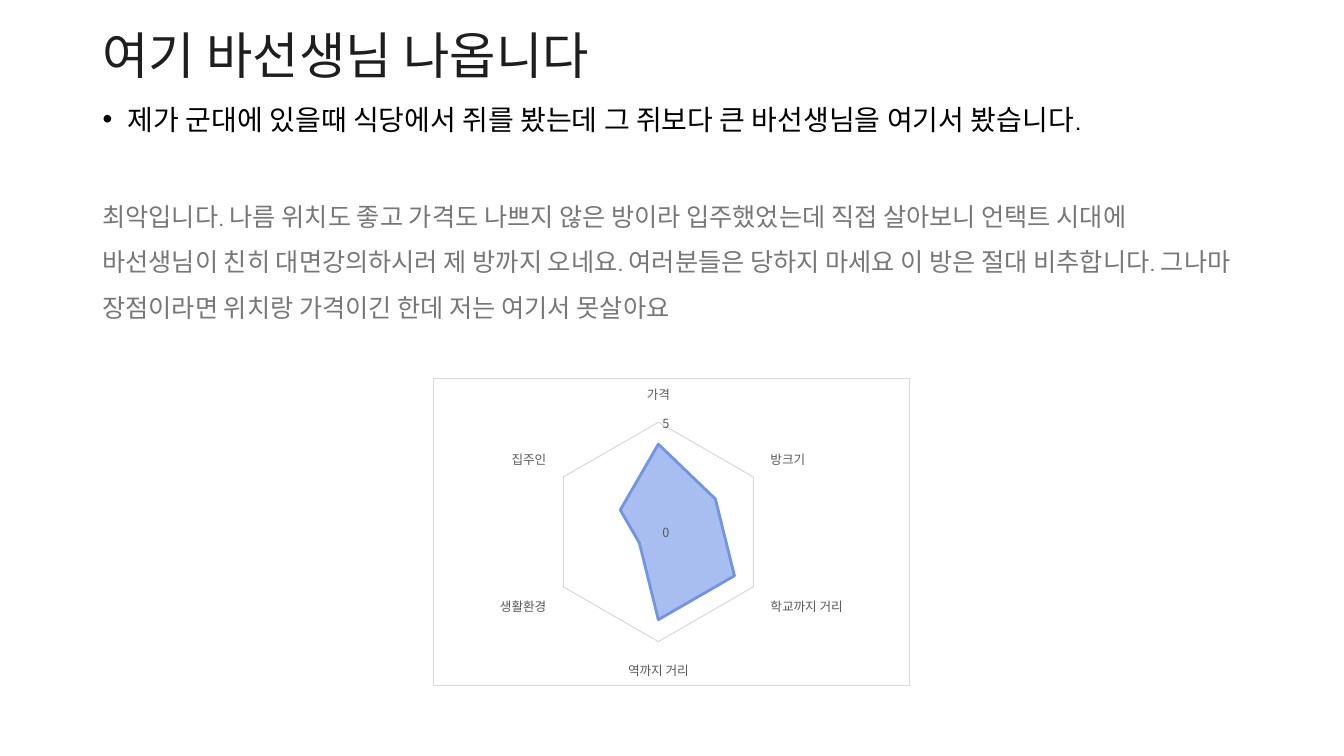
from lxml import etree
from pptx import Presentation
from pptx.chart.data import CategoryChartData
from pptx.dml.color import RGBColor
from pptx.enum.chart import XL_CHART_TYPE, XL_TICK_MARK
from pptx.enum.text import MSO_ANCHOR, MSO_AUTO_SIZE, PP_ALIGN
from pptx.oxml import parse_xml
from pptx.oxml.ns import nsdecls, qn
from pptx.util import Cm, Pt

RADAR_FILLED = XL_CHART_TYPE.RADAR_FILLED
NO_TICK = XL_TICK_MARK.NONE
TOP, MIDDLE = MSO_ANCHOR.TOP, MSO_ANCHOR.MIDDLE
NO_AUTOFIT = MSO_AUTO_SIZE.NONE
LEFT = PP_ALIGN.LEFT

TEXT_FONT = "Manrope"
CHART_FONT = "Noto Sans CJK KR"
BLACK = RGBColor(0x00, 0x00, 0x00)
TITLE_INK = RGBColor(0x1E, 0x1E, 0x1E)
REVIEW_GRAY = RGBColor(0x77, 0x77, 0x77)
LABEL_GRAY = RGBColor(0x59, 0x59, 0x59)
LINE_GRAY = RGBColor(0xD9, 0xD9, 0xD9)
RADAR_BLUE = RGBColor(0x70, 0x94, 0xE6)

TEXT_LEFT, TEXT_WIDTH = Cm(2.33), Cm(29.21)


def style_font(font, name, size, color):
    font.name = name
    font.size = Pt(size)
    font.color.rgb = color


def place_text(shape, top, height, text, size, color, spacing, before, anchor):
    shape.left, shape.top = TEXT_LEFT, top
    shape.width, shape.height = TEXT_WIDTH, height
    frame = shape.text_frame
    frame.word_wrap = True
    frame.auto_size = NO_AUTOFIT
    frame.vertical_anchor = anchor
    paragraph = frame.paragraphs[0]
    paragraph.alignment = LEFT
    paragraph.line_spacing = spacing
    paragraph.space_before = Pt(before)
    run = paragraph.add_run()
    run.text = text
    style_font(run.font, TEXT_FONT, size, color)
    return paragraph


presentation = Presentation()
presentation.slide_width, presentation.slide_height = Cm(33.87), Cm(19.05)
slide = presentation.slides.add_slide(presentation.slide_layouts[1])

# Title
place_text(slide.shapes.title, Cm(-0.38), Cm(3.68), "여기 바선생님 나옵니다",
           36, TITLE_INK, 0.9, 0, MIDDLE)

# Bulleted summary
summary = place_text(
    slide.placeholders[1], Cm(2.54), Cm(3.68),
    "제가 군대에 있을때 식당에서 쥐를 봤는데 그 쥐보다 큰 바선생님을 여기서 봤습니다.",
    20, BLACK, 0.9, 10, TOP)
summary_properties = summary._p.get_or_add_pPr()
summary_properties.set("marL", str(Cm(0.64)))
summary_properties.set("indent", str(-Cm(0.64)))
etree.SubElement(summary_properties, qn("a:buFont"), typeface="Arial")
etree.SubElement(summary_properties, qn("a:buChar"), char="•")

# Review text
review_box = slide.shapes.add_textbox(TEXT_LEFT, Cm(4.57), TEXT_WIDTH, Cm(9.09))
place_text(
    review_box, Cm(4.57), Cm(9.09),
    "최악입니다. 나름 위치도 좋고 가격도 나쁘지 않은 방이라 입주했었는데 직접 살아보니 "
    "언택트 시대에 바선생님이 친히 대면강의하시러 제 방까지 오네요. 여러분들은 당하지 "
    "마세요 이 방은 절대 비추합니다. 그나마 장점이라면 위치랑 가격이긴 한데 저는 "
    "여기서 못살아요",
    18, REVIEW_GRAY, 1.5, 10, TOP)

# Rating radar chart
ratings = CategoryChartData()
ratings.categories = ["가격", "방크기", "학교까지 거리", "역까지 거리", "생활환경", "집주인"]
ratings.add_series("Series 1", (4, 3, 4, 4, 1, 2))
chart = slide.shapes.add_chart(
    RADAR_FILLED, Cm(10.9), Cm(9.53), Cm(12.04), Cm(7.75), ratings).chart
chart.has_title = False
chart.has_legend = False
style_font(chart.font, CHART_FONT, 10, BLACK)
plot = chart.plots[0]
plot.vary_by_categories = False

# Half-transparent rating area
series = plot.series[0]
series.format.fill.solid()
series.format.fill.fore_color.rgb = RADAR_BLUE
series.format.line.color.rgb = RADAR_BLUE
series.format.line.width = Pt(2)
area_color = series.format.fill._xPr.find(qn("a:solidFill"))[0]
etree.SubElement(area_color, qn("a:alpha"), val="60000")

# Axes
category_axis, value_axis = chart.category_axis, chart.value_axis
for axis in (category_axis, value_axis):
    axis.major_tick_mark = NO_TICK
    axis.minor_tick_mark = NO_TICK
    style_font(axis.tick_labels.font, CHART_FONT, 9, LABEL_GRAY)
category_axis.has_major_gridlines = False
value_axis.has_major_gridlines = True
value_axis.minimum_scale, value_axis.maximum_scale = 0, 5
value_axis.major_unit = 5
value_axis.format.line.fill.background()
for line in (category_axis.format.line, value_axis.major_gridlines.format.line):
    line.color.rgb = LINE_GRAY
    line.width = Pt(0.75)

# Chart border
border = parse_xml(
    f'<c:spPr {nsdecls("c", "a")}><a:noFill/><a:ln w="{Pt(0.75)}"><a:solidFill>'
    f'<a:srgbClr val="{LINE_GRAY}"/></a:solidFill></a:ln></c:spPr>')
chart._chartSpace.find(qn("c:txPr")).addprevious(border)

presentation.save("out.pptx")
